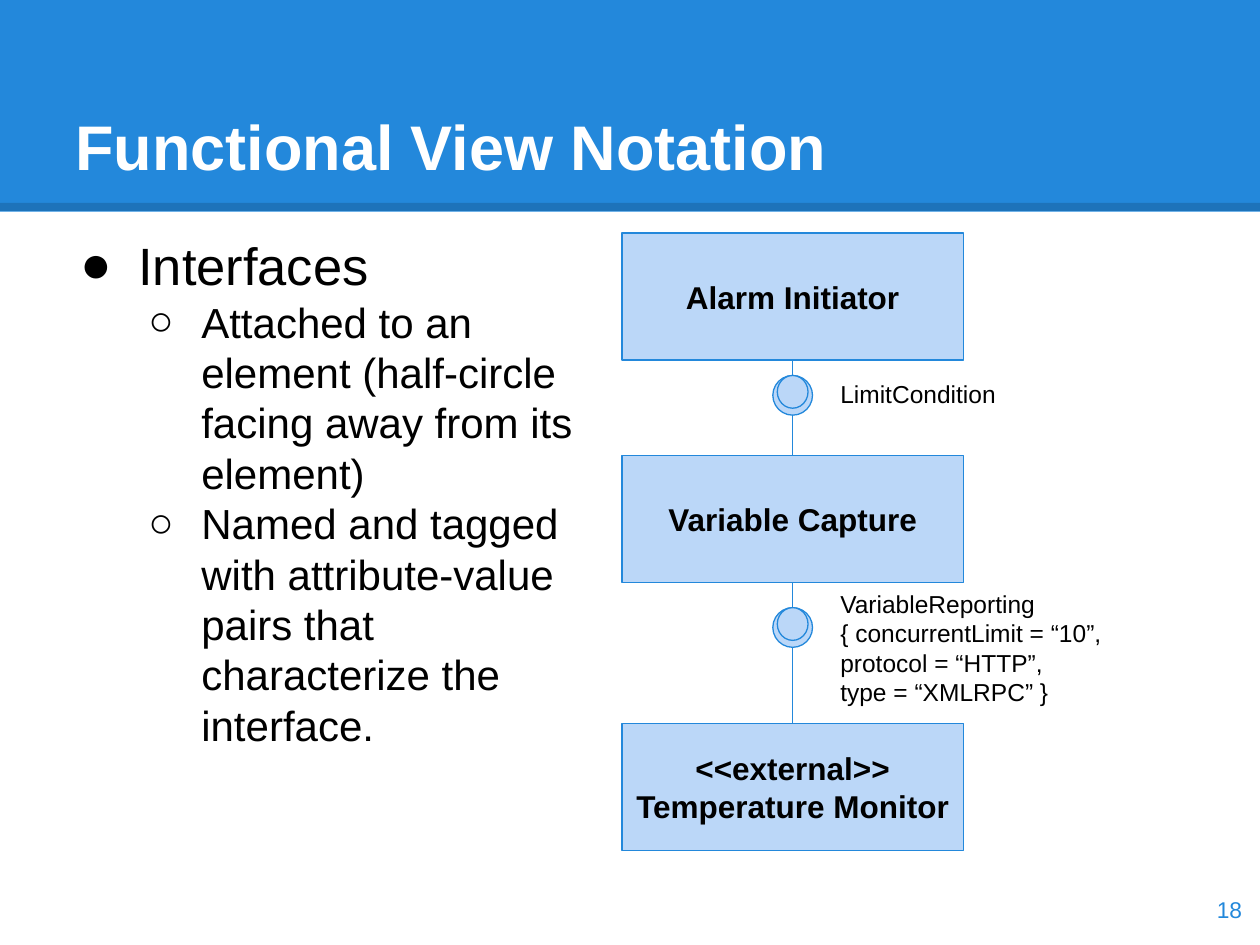
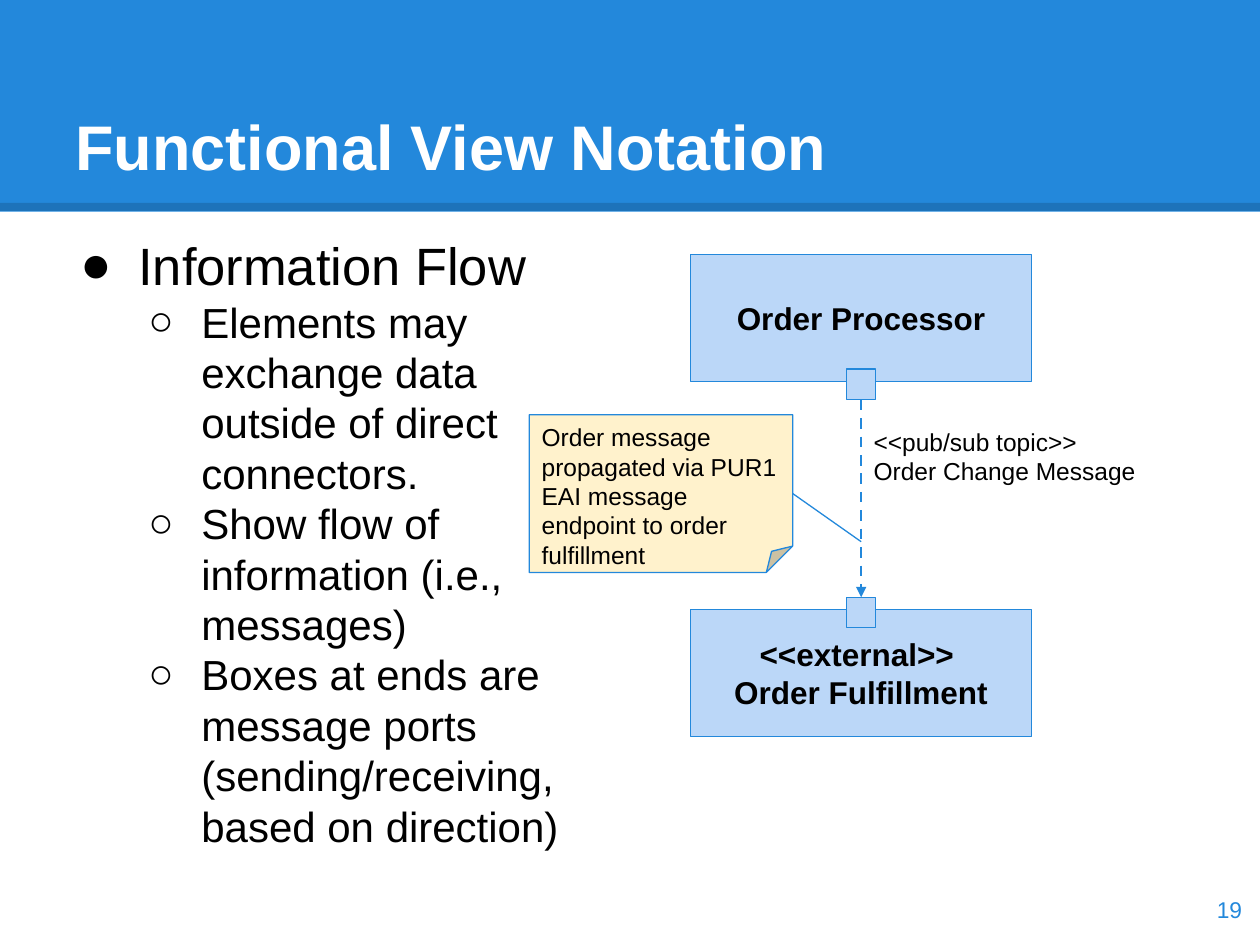
from pptx import Presentation
from pptx.dml.color import RGBColor
from pptx.enum.dml import MSO_LINE
from pptx.enum.shapes import MSO_CONNECTOR, MSO_SHAPE
from pptx.enum.text import MSO_ANCHOR as ANCHOR, MSO_AUTO_SIZE, PP_ALIGN as ALIGN
from pptx.oxml.ns import qn
from pptx.util import Cm, Pt
from lxml.etree import SubElement

FONT = "Arial"
BLUE, PALE, CREAM = "2388DB", "BBD7F8", "FFF2CC"
BLACK, WHITE = "000000", "FFFFFF"
SLIDE_W, SLIDE_H = 25.4, 19.05
BOX_W, BOX_H = 6.88, 2.56
AXIS = BOX_W / 2
INSET = 0.25


def rgb(value):
    return RGBColor.from_string(value)


def add_run(p, text, size, color=BLACK, bold=False):
    r = p.add_run()
    r.text = text
    r.font.name = FONT
    r.font.size = Pt(size)
    r.font.bold = bold
    r.font.color.rgb = rgb(color)


def write(tf, lines, size, color=BLACK, bold=False, align=ALIGN.LEFT,
          anchor=ANCHOR.TOP):
    tf.word_wrap = True
    tf.auto_size = MSO_AUTO_SIZE.NONE
    tf.vertical_anchor = anchor
    tf.margin_left = tf.margin_right = Cm(INSET)
    tf.margin_top = tf.margin_bottom = Cm(INSET)
    for i, text in enumerate(lines):
        p = tf.add_paragraph() if i else tf.paragraphs[0]
        p.alignment = align
        add_run(p, text, size, color, bold)


def add_text(s, box, lines, size, **style):
    tf = s.shapes.add_textbox(*map(Cm, box)).text_frame
    write(tf, lines, size, **style)
    return tf


def add_shape(s, kind, box, fill=PALE, line=BLUE):
    sp = s.shapes.add_shape(kind, *map(Cm, box))
    sp.shadow.inherit = False
    sp.fill.solid()
    sp.fill.fore_color.rgb = rgb(fill)
    if line:
        sp.line.color.rgb = rgb(line)
        sp.line.width = Pt(0.75)
    else:
        sp.line.fill.background()
    return sp


def add_line(s, start, end, color=BLUE, width=0.75):
    cx = s.shapes.add_connector(MSO_CONNECTOR.STRAIGHT, *map(Cm, start + end))
    cx.line.color.rgb = rgb(color)
    cx.line.width = Pt(width)
    SubElement(cx._element.spPr, qn("a:effectLst"))
    return cx


def add_band(s, box):
    x, y, w, h = box
    add_shape(s, MSO_SHAPE.RECTANGLE, box, BLUE, None)
    edge = y + h - 0.1
    cx = add_line(s, (x, edge), (x + w, edge), BLACK, 4.5)
    color = next(cx._element.iter(qn("a:srgbClr")))
    SubElement(color, qn("a:alpha"), val="15000")


def add_title(s, box, text):
    sp = s.shapes.title
    sp.left, sp.top, sp.width, sp.height = map(Cm, box)
    write(sp.text_frame, [text], 36, WHITE, True, anchor=ANCHOR.BOTTOM)
    sp._element.getparent().append(sp._element)


def set_bullet(p, char, left, hanging):
    pPr = p._p.get_or_add_pPr()
    pPr.set("marL", str(Cm(left)))
    pPr.set("indent", str(-Cm(hanging)))
    color = SubElement(pPr, qn("a:buClr"))
    SubElement(color, qn("a:srgbClr"), val=BLACK)
    SubElement(pPr, qn("a:buFont"), typeface=FONT)
    SubElement(pPr, qn("a:buChar"), char=char)


def add_bullets(s, box, heading, points):
    tf = add_text(s, box, [heading], 30)
    tf.paragraphs[0].space_before = Pt(6)
    set_bullet(tf.paragraphs[0], "●", 1.27, 1.17)
    for text in points:
        p = tf.add_paragraph()
        p.level = 1
        p.space_before = Pt(0)
        add_run(p, text, 24)
        set_bullet(p, "○", 2.54, 1.07)


def add_slide(prs, number, heading, points):
    s = prs.slides.add_slide(prs.slide_layouts[5])
    add_band(s, (0, 0, SLIDE_W, 4.27))
    add_title(s, (1.27, 0.76, 22.86, 3.18), "Functional View Notation")
    add_bullets(s, (1.27, 4.45, 11.1, 13.79), heading, points)
    add_text(s, (23.77, 17.6, 1.52, 1.45), [str(number)], 13, color=BLUE,
             align=ALIGN.RIGHT, anchor=ANCHOR.MIDDLE)
    return s


def add_element(s, x, y, lines):
    sp = add_shape(s, MSO_SHAPE.RECTANGLE, (x, y, BOX_W, BOX_H))
    write(sp.text_frame, lines, 18, bold=True, align=ALIGN.CENTER,
          anchor=ANCHOR.MIDDLE)


def add_interface(s, x, top, bottom, gap):
    add_line(s, (x, top), (x, bottom))
    for w, h in ((0.8, 0.8), (0.62, 0.66)):
        add_shape(s, MSO_SHAPE.OVAL, (x - w / 2, top + gap, w, h))


def interface_diagram(s, box):
    x, y, w, h = box
    tops = [y, y + 4.49, y + h - BOX_H]
    names = (["Alarm Initiator"], ["Variable Capture"],
             ["<<external>>", "Temperature Monitor"])
    for top, lines in zip(tops, names):
        add_element(s, x, top, lines)
    links = (
        (0.31, 0.13, ["LimitCondition"]),
        (0.5, -0.13, ["VariableReporting",
                      "{ concurrentLimit = “10”, protocol = “HTTP”, ",
                      "type = “XMLRPC” }"]),
    )
    for top, bottom, (gap, label_gap, lines) in zip(tops, tops[1:], links):
        start = top + BOX_H
        add_interface(s, x + AXIS, start, bottom, gap)
        add_text(s, (x + 4.15, start + label_gap, w - 4.15, bottom - start),
                 lines, 14)


def add_note(s, box, text):
    sp = add_shape(s, MSO_SHAPE.FOLDED_CORNER, box, CREAM)
    write(sp.text_frame, [text], 14)
    sp.text_frame.margin_top = Cm(0.15)
    sp.text_frame.margin_bottom = 0


def flow_diagram(s, box):
    x, y, w, h = box
    left, lower = x + 3.25, y + h - BOX_H
    axis = left + AXIS
    port_w, port_h = 0.58, 0.61
    port_tops = (y + BOX_H - 0.25, lower - 0.25)
    flow = add_line(s, (axis, y + BOX_H), (axis, port_tops[1]), width=1.5)
    flow.line.dash_style = MSO_LINE.DASH
    SubElement(flow.line._get_or_add_ln(), qn("a:tailEnd"), type="triangle")
    add_element(s, left, y, ["Order Processor"])
    add_element(s, left, lower, ["<<external>> ", "Order Fulfillment"])
    add_text(s, (axis, y + 3.23, x + w - axis, 2.34),
             ["<<pub/sub topic>>", "Order Change Message"], 14)
    note_w, note_h = 5.31, 3.18
    add_note(s, (x, y + 3.23, note_w, note_h),
             "Order message propagated via PUR1 EAI message endpoint "
             "to order fulfillment")
    add_line(s, (x + note_w, y + 3.23 + note_h / 2), (axis, y + 5.79))
    for top in port_tops:
        add_shape(s, MSO_SHAPE.RECTANGLE,
                  (axis - port_w / 2, top, port_w, port_h))


prs = Presentation()
prs.slide_width, prs.slide_height = Cm(SLIDE_W), Cm(SLIDE_H)

s = add_slide(prs, 18, "Interfaces", [
    "Attached to an element (half-circle facing away from its element)",
    "Named and tagged with attribute-value pairs that characterize "
    "the interface.",
])
interface_diagram(s, (12.54, 4.7, 11.03, 12.44))

s = add_slide(prs, 19, "Information Flow", [
    "Elements may exchange data outside of direct connectors.",
    "Show flow of information (i.e., messages)",
    "Boxes at ends are message ports (sending/receiving, based on direction)",
])
flow_diagram(s, (10.67, 5.13, 12.66, 9.72))

prs.save("out.pptx")
